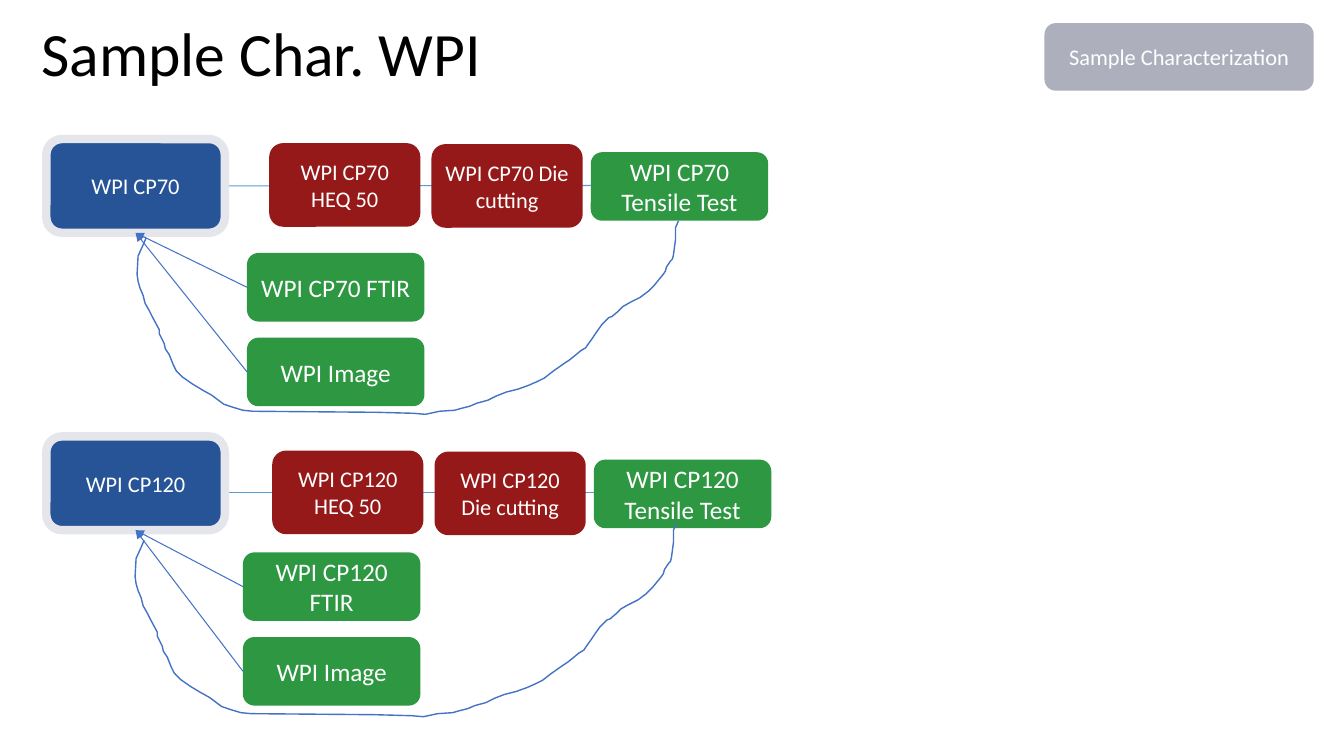
from dataclasses import dataclass

from lxml import etree
from pptx import Presentation
from pptx.dml.color import RGBColor
from pptx.enum.shapes import MSO_CONNECTOR, MSO_SHAPE
from pptx.enum.text import MSO_ANCHOR, PP_ALIGN
from pptx.oxml.ns import qn
from pptx.util import Inches, Pt

ROUNDED = MSO_SHAPE.ROUNDED_RECTANGLE
STRAIGHT = MSO_CONNECTOR.STRAIGHT
MIDDLE = MSO_ANCHOR.MIDDLE
LEFT, CENTER = PP_ALIGN.LEFT, PP_ALIGN.CENTER
BOTTOM_SITE, LEFT_SITE, RIGHT_SITE = 2, 1, 3
TITLE_ONLY = 5


@dataclass(frozen=True)
class Theme:
    font: str = "Calibri"
    ink: str = "000000"
    paper: str = "FFFFFF"
    sample: str = "275497"
    ring: str = "E5E6EB"
    process: str = "951919"
    test: str = "2D9742"
    stage: str = "ADAFBD"
    flow: str = "5B9BD5"
    feedback: str = "4472C4"
    title_size: int = 44
    step_size: int = 16
    test_size: int = 18
    ring_width: float = 6
    arrow_width: float = 0.75
    loop_width: float = 1


THEME = Theme()
SAMPLE_SIZE = (1.77, 0.93)
PROCESS_SIZE = (1.5, 0.83)
TEST_SIZE = (1.76, 0.68)
TEST_PITCH = 0.84
LOOP_ORIGIN = (0.9, 0.81)
LOOP_POINTS = [
    (5.37, 0), (5.34, 0.07), (5.34, 0.19), (5.32, 0.34), (5.31, 0.38),
    (5.29, 0.4), (5.25, 0.46), (5.24, 0.5), (5.22, 0.53), (5.13, 0.64),
    (5.07, 0.7), (4.99, 0.76), (4.89, 0.81), (4.82, 0.85), (4.77, 0.9),
    (4.71, 0.95), (4.68, 0.96), (4.61, 1.03), (4.56, 1.1), (4.52, 1.16),
    (4.47, 1.23), (4.45, 1.26), (4.4, 1.29), (4.34, 1.34), (4.29, 1.38),
    (4.23, 1.42), (4.13, 1.49), (4.04, 1.56), (3.98, 1.59), (3.89, 1.63),
    (3.78, 1.67), (3.66, 1.7), (3.56, 1.74), (3.48, 1.78), (3.37, 1.81),
    (3.3, 1.84), (3.22, 1.86), (3.15, 1.88), (3, 1.89), (2.86, 1.92),
    (2.74, 1.91), (2.37, 1.9), (1.15, 1.89), (1.05, 1.88), (0.95, 1.85),
    (0.86, 1.82), (0.74, 1.73), (0.65, 1.68), (0.55, 1.62), (0.45, 1.55),
    (0.39, 1.49), (0.36, 1.43), (0.32, 1.33), (0.28, 1.27), (0.27, 1.22),
    (0.22, 1.12), (0.22, 1.08), (0.15, 0.95), (0.12, 0.89), (0.08, 0.82),
    (0.06, 0.74), (0.03, 0.67), (0.01, 0.6), (0, 0.53), (0.01, 0.35),
    (0.06, 0.24), (0.09, 0.17),
]


@dataclass(frozen=True)
class SampleFlow:
    sample: str
    top: float
    process: tuple
    tests: tuple
    loop_shift: tuple
    flow_line: tuple


FLOWS = [
    SampleFlow("WPI CP70", 1.38, (2.21, 0.04), (1.99, 1.13), (0, 0), (1.77, 5.73, 0.46)),
    SampleFlow("WPI CP120", 4.33, (2.24, 0.14), (1.95, 1.15), (-0.02, 0.05), (1.64, 5.61, 0.56)),
]


def color(code):
    return RGBColor.from_string(code)


def set_values(target, values):
    for attribute, value in values.items():
        setattr(target, attribute, value)


def write_text(frame, text, size, ink, align):
    set_values(frame, {"text": text, "word_wrap": True, "vertical_anchor": MIDDLE})
    paragraph = frame.paragraphs[0]
    paragraph.alignment = align
    font = paragraph.runs[0].font
    set_values(font, {"name": THEME.font, "size": Pt(size)})
    font.color.rgb = color(ink)
    return paragraph


def add_step(slide, left, top, size, text, fill, text_size, ring=None):
    step = slide.shapes.add_shape(ROUNDED, *map(Inches, (left, top, *size)))
    step.shadow.inherit = False
    step.fill.solid()
    step.fill.fore_color.rgb = color(fill)
    if ring:
        step.line.color.rgb = color(ring)
        step.line.width = Pt(THEME.ring_width)
    else:
        step.line.fill.background()
    write_text(step.text_frame, text, text_size, THEME.paper, CENTER)
    return step


def add_arrow(slide, start, end, ink):
    arrow = slide.shapes.add_connector(STRAIGHT, *map(Inches, (*start, *end)))
    arrow.line.color.rgb = color(ink)
    arrow.line.width = Pt(THEME.arrow_width)
    properties = arrow.element.spPr
    etree.SubElement(properties.find(qn("a:ln")), qn("a:tailEnd"), type="triangle")
    etree.SubElement(properties, qn("a:effectLst"))
    return arrow


def add_loop(slide, left, top):
    points = [(Inches(left + x), Inches(top + y)) for x, y in LOOP_POINTS]
    outline = slide.shapes.build_freeform(*points[0], scale=1.0)
    outline.add_line_segments(points[1:], close=False)
    loop = outline.convert_to_shape()
    loop.shadow.inherit = False
    loop.fill.background()
    loop.line.color.rgb = color(THEME.feedback)
    loop.line.width = Pt(THEME.loop_width)


def add_header(slide, left, top, width, height):
    title = slide.shapes.title
    box = {"left": left, "top": top, "width": width, "height": height}
    set_values(title, {side: Inches(value) for side, value in box.items()})
    heading = write_text(title.text_frame, "Sample Char. WPI", THEME.title_size, THEME.ink, LEFT)
    heading.line_spacing = 0.9
    add_step(slide, left + 10.05, top + 0.39, (2.67, 0.67), "Sample Characterization",
             THEME.stage, THEME.step_size)


def add_sample_flow(slide, flow, left, top):
    line_start, line_end, line_drop = flow.flow_line
    flow_arrow = add_arrow(slide, (left + line_start, top + line_drop),
                           (left + line_end, top + line_drop), THEME.flow)
    sample = add_step(slide, left, top, SAMPLE_SIZE, flow.sample, THEME.sample,
                      THEME.step_size, THEME.ring)
    if line_start == SAMPLE_SIZE[0]:
        flow_arrow.begin_connect(sample, RIGHT_SITE)

    process_left, process_top = left + flow.process[0], top + flow.process[1]
    for offset, drop, work in ((0, 0, "HEQ 50"), (1.61, 0.01, "Die cutting")):
        add_step(slide, process_left + offset, process_top + drop, PROCESS_SIZE,
                 f"{flow.sample} {work}", THEME.process, THEME.step_size)
    add_step(slide, process_left + 3.19, process_top + 0.09, TEST_SIZE,
             f"{flow.sample} Tensile Test", THEME.test, THEME.test_size)

    test_left, test_top = left + flow.tests[0], top + flow.tests[1]
    for row, test_name in enumerate((f"{flow.sample} FTIR", "WPI Image")):
        test_y = test_top + row * TEST_PITCH
        test = add_step(slide, test_left, test_y, TEST_SIZE, test_name,
                        THEME.test, THEME.test_size)
        feedback = add_arrow(slide, (test_left, test_y), (left, top), THEME.feedback)
        feedback.begin_connect(test, LEFT_SITE)
        feedback.end_connect(sample, BOTTOM_SITE)

    add_loop(slide, left + LOOP_ORIGIN[0] + flow.loop_shift[0],
             top + LOOP_ORIGIN[1] + flow.loop_shift[1])


def main():
    presentation = Presentation()
    set_values(presentation, {"slide_width": Inches(13.33), "slide_height": Inches(7.5)})
    slide = presentation.slides.add_slide(presentation.slide_layouts[TITLE_ONLY])
    add_header(slide, 0.31, -0.16, 11.5, 1.45)
    for flow in FLOWS:
        add_sample_flow(slide, flow, 0.46, flow.top)
    presentation.save("out.pptx")


if __name__ == "__main__":
    main()
